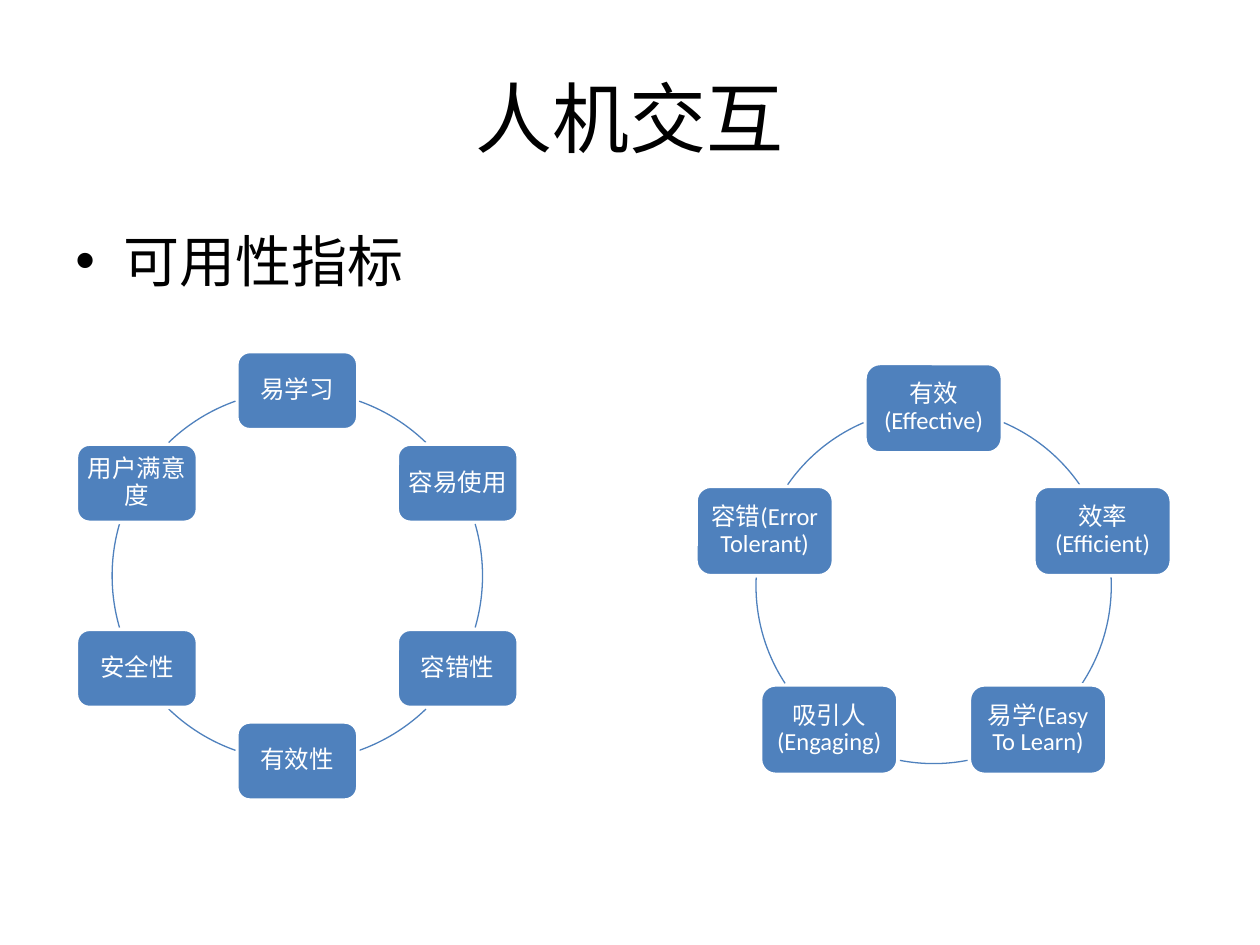
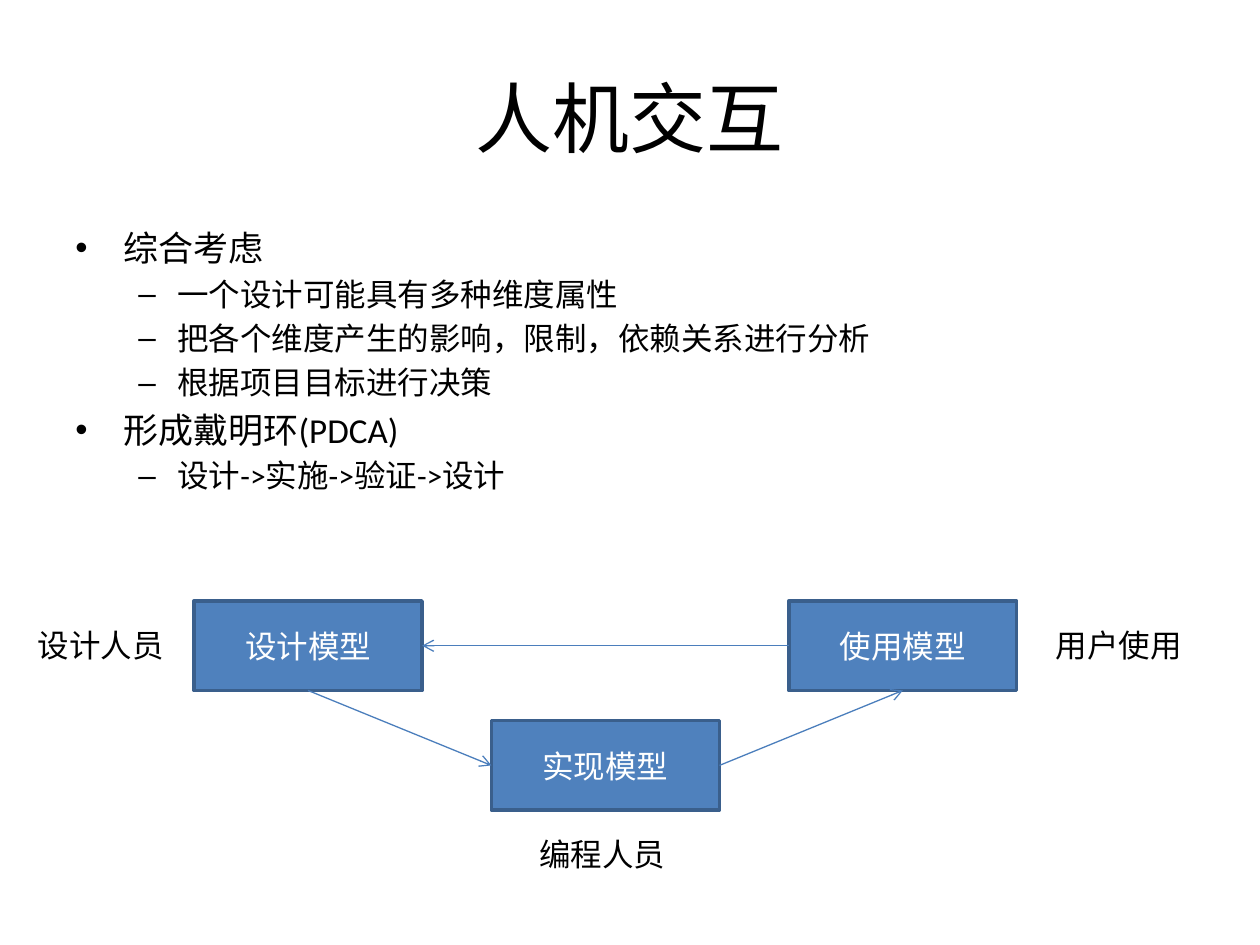
import math

from pptx import Presentation
from pptx import util as u
from pptx.dml.color import RGBColor
from pptx.enum import shapes, text
from pptx.oxml.ns import qn
from lxml import etree

FONT = "Calibri"
BLACK, WHITE = "000000", "FFFFFF"
BLUE, BORDER, ARROW = "4F81BD", "3A5F8C", "4B7EBC"
TITLE = "人机交互"
BULLETS = [("•", 0.38, 0.38), ("–", 0.81, 0.31)]
TOP, LEFT, BOTTOM, RIGHT = range(4)
ARC_PAD = 0.01


def color(hex_value):
    return RGBColor.from_string(hex_value)


def inches(*lengths):
    return [u.Inches(length) for length in lengths]


def add_span(para, words, size, hex_value=BLACK):
    span = para.add_run()
    span.text = words
    span.font.name = FONT
    span.font.size = u.Pt(size)
    span.font.color.rgb = color(hex_value)


def add_title(page):
    frame = page.shapes.add_textbox(*inches(0.5, 0.3, 9, 1.25)).text_frame
    frame.word_wrap = True
    frame.vertical_anchor = text.MSO_ANCHOR.MIDDLE
    para = frame.paragraphs[0]
    para.alignment = text.PP_ALIGN.CENTER
    add_span(para, TITLE, 44)


def set_bullet(para, level):
    symbol, margin, hanging = BULLETS[level]
    para.level = level
    props = para._p.get_or_add_pPr()
    props.set("marL", str(u.Inches(margin)))
    props.set("indent", str(-u.Inches(hanging)))
    etree.SubElement(props, qn("a:buFont")).set("typeface", "Arial")
    etree.SubElement(props, qn("a:buChar")).set("char", symbol)


def add_body(page, items, sizes):
    frame = page.shapes.add_textbox(*inches(0.5, 1.75, 9, 4.95)).text_frame
    frame.word_wrap = True
    for index, (level, words) in enumerate(items):
        para = frame.add_paragraph() if index else frame.paragraphs[0]
        para.space_before = u.Pt(sizes[level] * 0.2)
        set_bullet(para, level)
        add_span(para, words, sizes[level])


def add_box(owner, kind, place, words, size, line):
    box = owner.shapes.add_shape(kind, *inches(*place))
    box.shadow.inherit = False
    box.fill.solid()
    box.fill.fore_color.rgb = color(BLUE)
    box.line.color.rgb = color(line)
    box.line.width = u.Pt(2)
    frame = box.text_frame
    frame.word_wrap = True
    frame.vertical_anchor = text.MSO_ANCHOR.MIDDLE
    para = frame.paragraphs[0]
    para.alignment = text.PP_ALIGN.CENTER
    add_span(para, words, size, WHITE)
    return box


def add_ring_box(group, place, words):
    box = add_box(group, shapes.MSO_SHAPE.ROUNDED_RECTANGLE, place, words, 14, WHITE)
    frame = box.text_frame
    frame.margin_left = frame.margin_right = u.Inches(0.06)
    frame.margin_top = frame.margin_bottom = u.Inches(0.06)
    frame.paragraphs[0].line_spacing = 0.9


def leave_box(node_angle, direction, radius, width, height):
    def point(angle):
        turn = math.radians(angle)
        return radius * math.cos(turn), radius * math.sin(turn)

    node_x, node_y = point(node_angle)
    angle = node_angle
    while True:
        x, y = point(angle)
        if abs(x - node_x) > width / 2 + ARC_PAD or abs(y - node_y) > height / 2 + ARC_PAD:
            return angle
        angle += direction * 0.25


def add_arc(group, center_x, center_y, radius, start, end):
    arc = group.shapes.add_shape(
        shapes.MSO_SHAPE.ARC,
        *inches(center_x - radius, center_y - radius, 2 * radius, 2 * radius))
    arc.shadow.inherit = False
    arc.fill.background()
    arc.line.color.rgb = color(BLUE)
    arc.line.width = u.Pt(0.75)
    for index, angle in enumerate((start, end)):
        arc.adjustments[index] = angle % 360 * 0.6


def add_ring(page, center_x, center_y, radius, width, height, labels):
    group = page.shapes.add_group_shape()
    step = 360 / len(labels)
    for index, words in enumerate(labels):
        angle = index * step - 90
        x = center_x + radius * math.cos(math.radians(angle))
        y = center_y + radius * math.sin(math.radians(angle))
        add_ring_box(group, (x - width / 2, y - height / 2, width, height), words)
        start = leave_box(angle, 1, radius, width, height)
        end = leave_box(angle + step, -1, radius, width, height)
        add_arc(group, center_x, center_y, radius, start, end)


def add_model(page, left, top, words):
    return add_box(page, shapes.MSO_SHAPE.RECTANGLE, (left, top, 1.81, 0.71),
                   words, 18, BORDER)


def add_arrow(page, source, source_side, target, target_side):
    arrow = page.shapes.add_connector(shapes.MSO_CONNECTOR.STRAIGHT, 0, 0, 0, 0)
    arrow.begin_connect(source, source_side)
    arrow.end_connect(target, target_side)
    arrow.line.color.rgb = color(ARROW)
    arrow.line.width = u.Pt(0.75)
    etree.SubElement(arrow.line._get_or_add_ln(), qn("a:tailEnd")).set("type", "arrow")
    etree.SubElement(arrow._element.spPr, qn("a:effectLst"))


def add_label(page, left, top, words):
    frame = page.shapes.add_textbox(*inches(left, top, 1.21, 0.4)).text_frame
    frame.word_wrap = False
    frame.auto_size = text.MSO_AUTO_SIZE.SHAPE_TO_FIT_TEXT
    add_span(frame.paragraphs[0], words, 18)


def add_page(deck):
    page = deck.slides.add_slide(deck.slide_layouts[6])
    add_title(page)
    return page


def build_usability(deck):
    page = add_page(deck)
    add_body(page, [(0, "可用性指标")], [32])
    add_ring(page, 2.36, 4.57, 1.47, 0.96, 0.62,
             ["易学习", "容易使用", "容错性", "有效性", "安全性", "用户满意度"])
    add_ring(page, 7.41, 4.65, 1.41, 1.09, 0.71,
             ["有效(Effective)", "效率(Efficient)", "易学(Easy To Learn)",
              "吸引人(Engaging)", "容错(Error Tolerant)"])


def build_models(deck):
    page = add_page(deck)
    add_body(page, [
        (0, "综合考虑"),
        (1, "一个设计可能具有多种维度属性"),
        (1, "把各个维度产生的影响，限制，依赖关系进行分析"),
        (1, "根据项目目标进行决策"),
        (0, "形成戴明环(PDCA)"),
        (1, "设计->实施->验证->设计"),
    ], [20, 18])
    design = add_model(page, 1.54, 4.77, "设计模型")
    build = add_model(page, 3.9, 5.72, "实现模型")
    usage = add_model(page, 6.26, 4.77, "使用模型")
    add_arrow(page, design, BOTTOM, build, LEFT)
    add_arrow(page, build, RIGHT, usage, BOTTOM)
    add_arrow(page, usage, LEFT, design, RIGHT)
    add_label(page, 0.2, 4.92, "设计人员")
    add_label(page, 4.18, 6.58, "编程人员")
    add_label(page, 8.28, 4.92, "用户使用")


def main():
    deck = Presentation()
    deck.slide_width, deck.slide_height = inches(10, 7.5)
    build_usability(deck)
    build_models(deck)
    deck.save("out.pptx")


if __name__ == "__main__":
    main()
